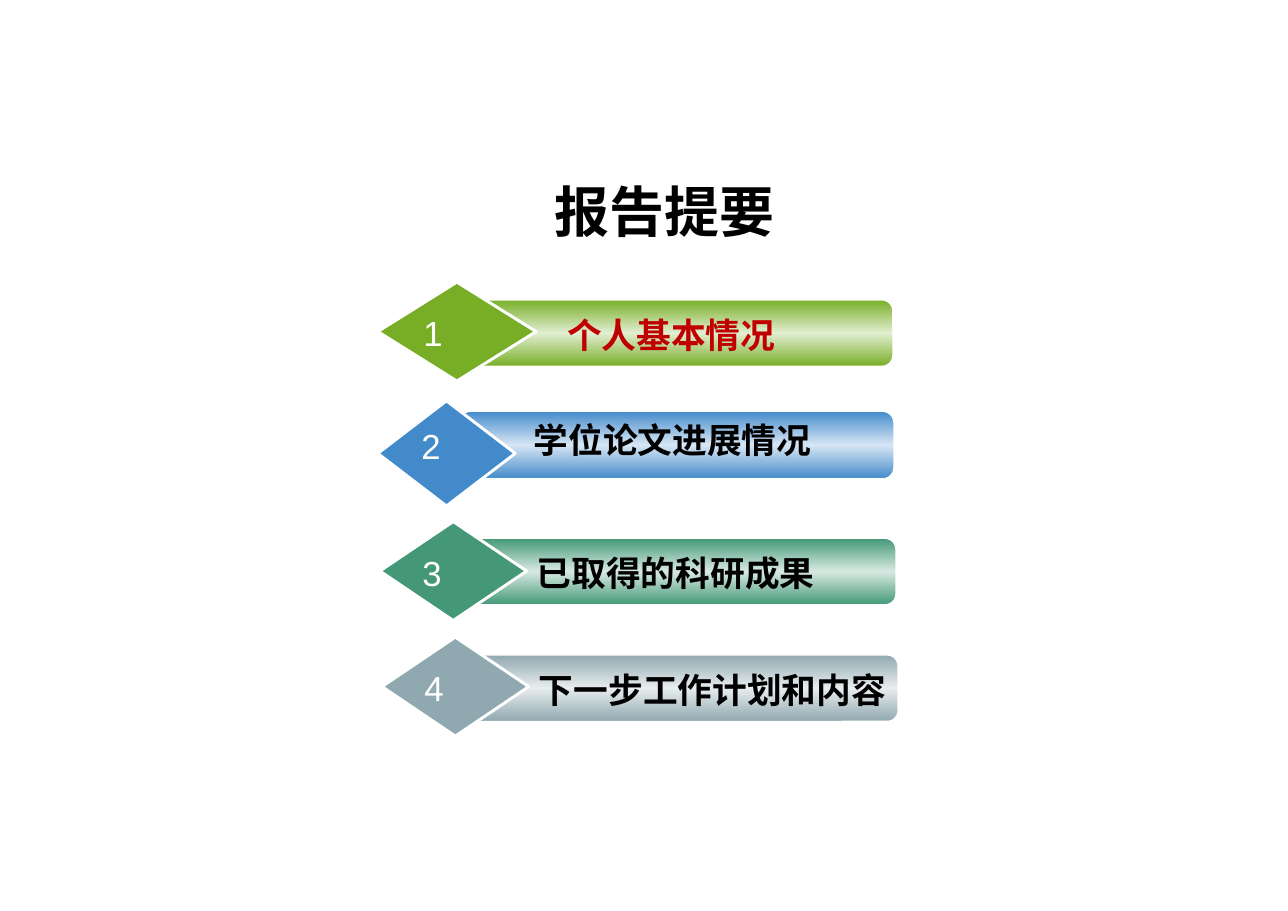
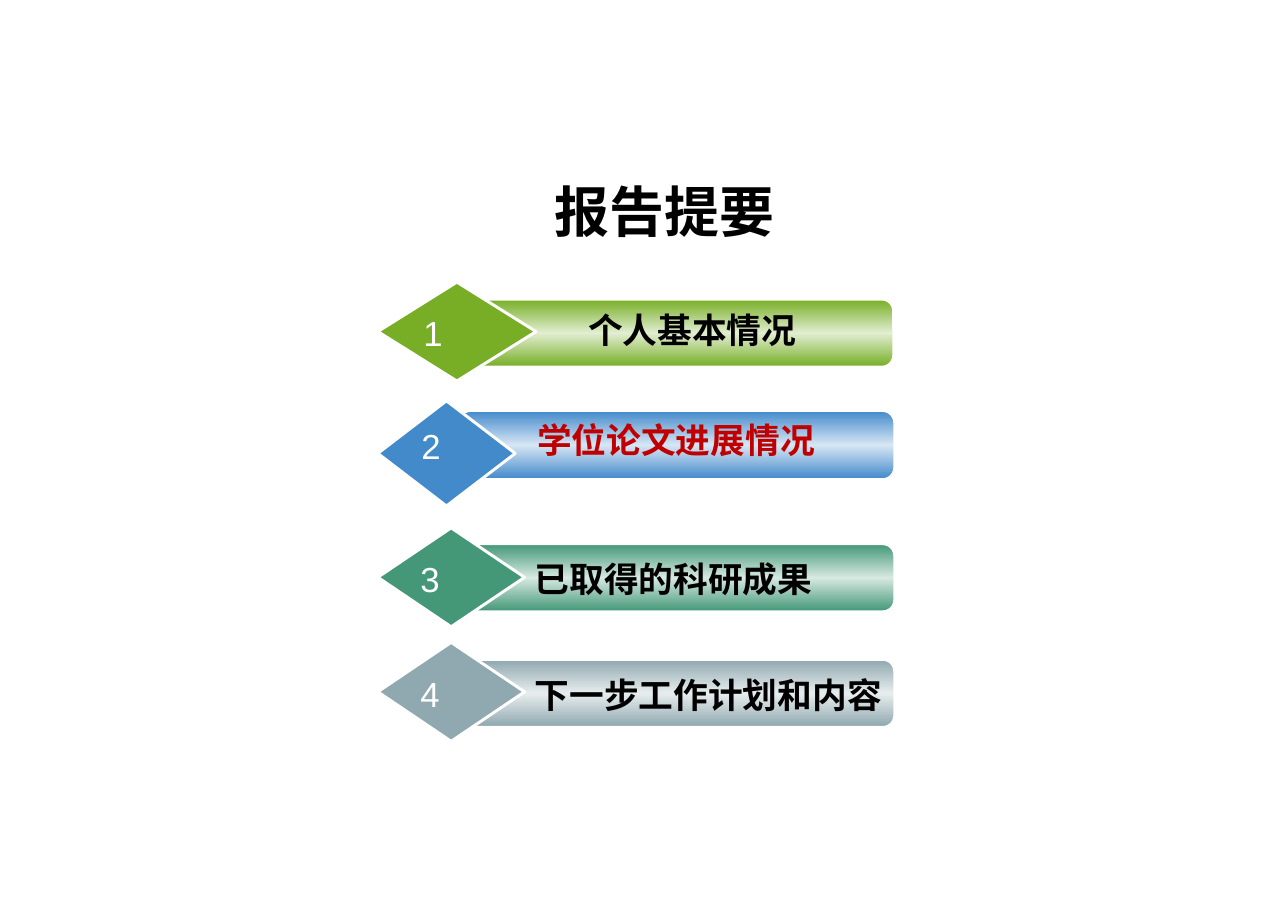
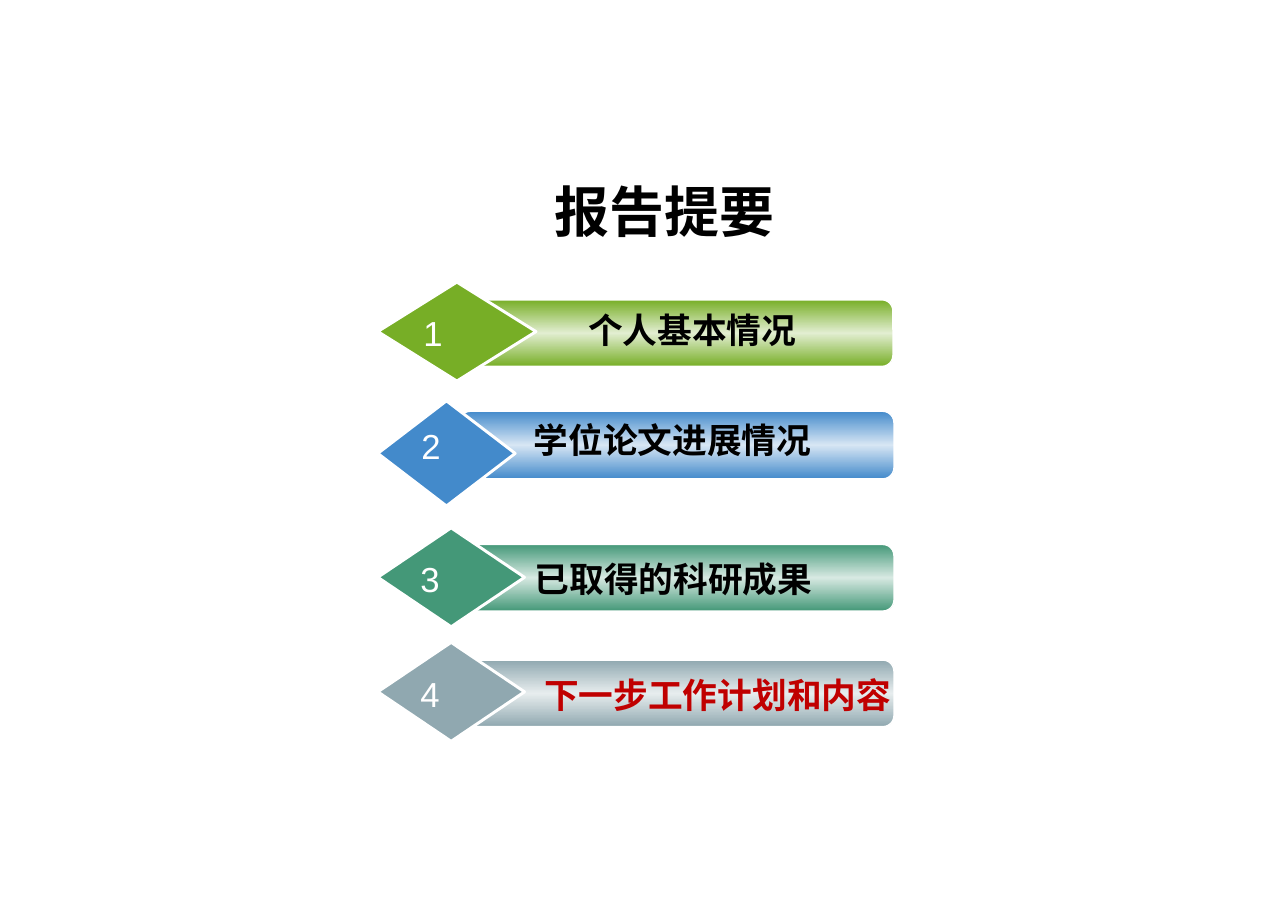
from copy import deepcopy
from dataclasses import dataclass

from lxml.etree import SubElement
from pptx import Presentation
from pptx.dml.color import RGBColor
from pptx.enum.lang import MSO_LANGUAGE_ID as Language
from pptx.enum.shapes import MSO_SHAPE as Preset
from pptx.enum.text import MSO_ANCHOR as Anchor, MSO_AUTO_SIZE as AutoSize, PP_ALIGN as Align
from pptx.oxml.ns import qn
from pptx.util import Inches, Pt

COLORS = {
    "text": "000000", "highlight": "C00000", "white": "FFFFFF",
    "green": "77AE26", "green tint": "E2EED1",
    "blue": "438ACB", "blue tint": "D7E6F4",
    "teal": "449878", "teal tint": "D7E9E2",
    "gray": "90A8B0", "gray tint": "E7EDEE",
}
TITLE = "报告提要"
TITLE_LAYOUT = 5
CHINESE_FONT = "Arial"


@dataclass(frozen=True)
class Frame:
    left: float
    top: float
    width: float
    height: float

    def lengths(self, shift: tuple[float, float] = (0, 0)) -> list[int]:
        dx, dy = shift
        return [Inches(n) for n in (self.left + dx, self.top + dy, self.width, self.height)]


@dataclass(frozen=True)
class TextStyle:
    size: int
    name: str = "Arial"
    color: str = "text"
    bold: bool = False
    align: Align = Align.LEFT
    auto_size: AutoSize = AutoSize.NONE


@dataclass(frozen=True)
class Item:
    caption: str
    color: str
    bar: Frame
    diamond: Frame
    caption_frame: Frame
    number_frame: Frame
    centered: bool = False


@dataclass(frozen=True)
class Agenda:
    """One slide: the current item and how far items or captions move."""
    current: int
    item_shifts: dict[int, tuple[float, float]]
    caption_shifts: dict[int, tuple[float, float]]


TITLE_FRAME = Frame(3.04, 1.66, 6.69, 0.74)
ITEMS = [
    Item("个人基本情况", "green", Frame(4.47, 2.88, 4.11, 0.64), Frame(3.63, 2.71, 1.52, 0.95),
         Frame(4.55, 2.92, 4.2, 0.51), Frame(3.97, 2.95, 0.78, 0.64), centered=True),
    Item("学位论文进展情况", "blue", Frame(4.41, 3.95, 4.18, 0.65), Frame(3.63, 3.85, 1.32, 1.01),
         Frame(5.03, 3.97, 2.93, 0.5), Frame(3.95, 4.03, 0.73, 0.85)),
    Item("已取得的科研成果", "teal", Frame(4.41, 5.23, 4.18, 0.64), Frame(3.63, 5.07, 1.41, 0.95),
         Frame(5.04, 5.31, 3.31, 0.51), Frame(3.94, 5.31, 0.73, 0.64)),
    Item("下一步工作计划和内容", "gray", Frame(4.41, 6.34, 4.18, 0.64), Frame(3.63, 6.17, 1.41, 0.95),
         Frame(5.04, 6.42, 3.71, 0.51), Frame(3.94, 6.41, 0.73, 0.64)),
]
AGENDAS = [
    Agenda(1, {3: (0.02, -0.06), 4: (0.04, -0.05)}, {1: (-0.2, 0.04)}),
    Agenda(2, {}, {}),
    Agenda(4, {}, {}),
]


def rgb(color: str) -> RGBColor:
    return RGBColor.from_string(COLORS[color])


def write(box, text: str, style: TextStyle) -> None:
    """Put one formatted line of text into a box."""
    frame = box.text_frame
    frame_format = {"word_wrap": True, "auto_size": style.auto_size, "vertical_anchor": Anchor.TOP}
    for key, value in frame_format.items():
        setattr(frame, key, value)
    para = frame.paragraphs[0]
    para.alignment = style.align
    span = para.add_run()
    span.text = text
    font_format = {"name": style.name, "size": Pt(style.size), "bold": style.bold,
                   "language_id": Language.SIMPLIFIED_CHINESE}
    for key, value in font_format.items():
        setattr(span.font, key, value)
    span.font.color.rgb = rgb(style.color)
    # Chinese characters use the East Asian font slot
    SubElement(span._r.get_or_add_rPr(), qn("a:ea")).set("typeface", CHINESE_FONT)


def add_outlined(shapes, preset: Preset, lengths: list[int], line_width: int):
    """Add a preset shape with a white outline and no shadow."""
    shape = shapes.add_shape(preset, *lengths)
    shape.shadow.inherit = False
    shape.line.color.rgb = rgb("white")
    shape.line.width = Pt(line_width)
    return shape


def fill_bar(bar, color: str) -> None:
    """Shade the bar from colour to tint and back, top to bottom."""
    bar.fill.gradient()
    bar.fill.gradient_angle = 270
    stop_list = bar._element.spPr.find(".//" + qn("a:gsLst"))
    stop_list.append(deepcopy(stop_list[0]))
    shades = [(0, color), (0.5, f"{color} tint"), (1, color)]
    for stop, (position, shade) in zip(bar.fill.gradient_stops, shades):
        stop.position = position
        stop.color.rgb = rgb(shade)


def add_item(page, number: int, item: Item, agenda: Agenda) -> None:
    """Draw one agenda item as a group: bar, diamond, caption and number."""
    shapes = page.shapes.add_group_shape().shapes
    shift = agenda.item_shifts.get(number, (0, 0))
    current = number == agenda.current

    bar = add_outlined(shapes, Preset.ROUNDED_RECTANGLE, item.bar.lengths(shift), 1)
    fill_bar(bar, item.color)
    diamond = add_outlined(shapes, Preset.DIAMOND, item.diamond.lengths(shift), 2)
    diamond.fill.solid()
    diamond.fill.fore_color.rgb = rgb(item.color)

    caption_shift = agenda.caption_shifts.get(number, shift)
    caption = shapes.add_textbox(*item.caption_frame.lengths(caption_shift))
    write(caption, item.caption, TextStyle(
        24, color="highlight" if current else "text", bold=True,
        align=Align.CENTER if item.centered or current else Align.LEFT,
        auto_size=AutoSize.SHAPE_TO_FIT_TEXT))
    number_box = shapes.add_textbox(*item.number_frame.lengths(shift))
    write(number_box, str(number), TextStyle(24, color="white"))


def add_title(page) -> None:
    title = page.shapes.title
    places = zip(("left", "top", "width", "height"), TITLE_FRAME.lengths())
    for key, value in places:
        setattr(title, key, value)
    write(title, TITLE, TextStyle(38, "Times New Roman", bold=True, align=Align.CENTER,
                                  auto_size=AutoSize.SHAPE_TO_FIT_TEXT))


def main() -> None:
    deck = Presentation()
    # The page measures 12 3/8 by 8 3/4 inches
    deck.slide_width, deck.slide_height = Inches(12 + 3 / 8), Inches(8 + 3 / 4)
    for agenda in AGENDAS:
        page = deck.slides.add_slide(deck.slide_layouts[TITLE_LAYOUT])
        add_title(page)
        for number, item in enumerate(ITEMS, start=1):
            add_item(page, number, item, agenda)
    deck.save("out.pptx")


if __name__ == "__main__":
    main()
